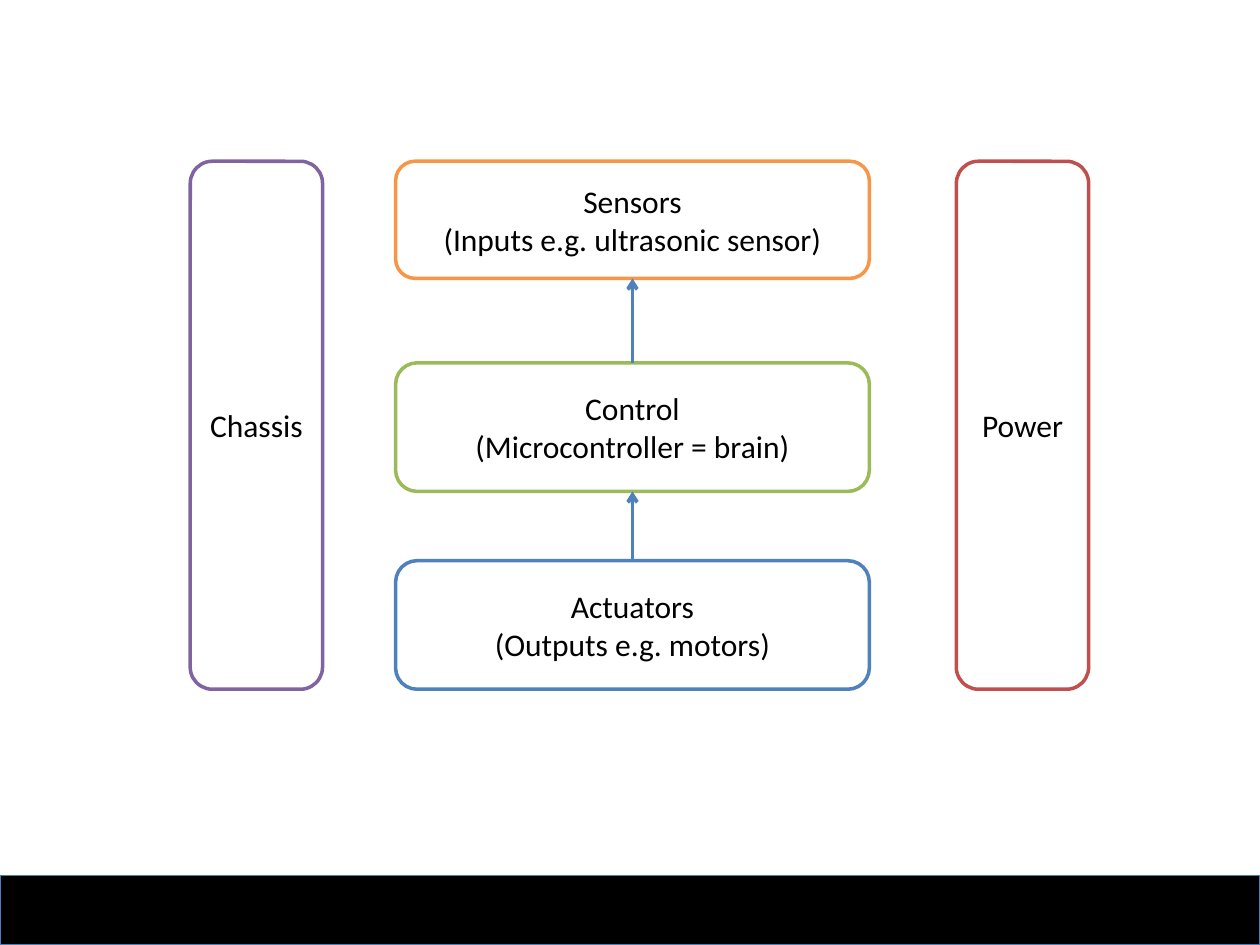
from lxml import etree
from pptx import Presentation
from pptx.dml.color import RGBColor
from pptx.enum.shapes import MSO_CONNECTOR, MSO_SHAPE
from pptx.enum.text import MSO_ANCHOR, PP_ALIGN
from pptx.oxml.ns import qn
from pptx.util import Inches, Pt

RECT, ROUNDED = MSO_SHAPE.RECTANGLE, MSO_SHAPE.ROUNDED_RECTANGLE
STRAIGHT = MSO_CONNECTOR.STRAIGHT
MIDDLE, CENTER = MSO_ANCHOR.MIDDLE, PP_ALIGN.CENTER
TOP_SIDE, BOTTOM_SIDE = 0, 2

COLORS = {
    "white": "FFFFFF", "black": "000000", "footer_line": "4A7EBB",
    "orange": "F79646", "green": "9BBB59", "blue": "4F81BD",
    "red": "C0504D", "purple": "8064A2",
}
SLIDE_W, SLIDE_H = 10, 7.5
FOOTER_H = 0.55
TOP, BOTTOM = 1.28, 5.47
STACK_LEFT, STACK_W = 3.14, 3.76
PANEL_W = 1.05

STACK = [
    (["Sensors", "(Inputs e.g. ultrasonic sensor)"], "orange", TOP, 0.93),
    (["Control", "(Microcontroller = brain)"], "green", 2.88, 1.02),
    (["Actuators", "(Outputs e.g. motors)"], "blue", BOTTOM - 1.02, 1.02),
]
PANELS = [("Power", "red", 7.59), ("Chassis", "purple", 1.51)]


def rgb(name):
    return RGBColor.from_string(COLORS[name])


def add_box(slide, kind, box, fill, line, width, lines=()):
    sp = slide.shapes.add_shape(kind, *map(Inches, box))
    sp.shadow.inherit = False
    sp.fill.solid()
    sp.fill.fore_color.rgb = rgb(fill)
    sp.line.color.rgb = rgb(line)
    sp.line.width = Pt(width)
    tf = sp.text_frame
    tf.word_wrap = True
    tf.vertical_anchor = MIDDLE
    if lines:
        tf.text = "\n".join(lines)
    for p in tf.paragraphs:
        p.alignment = CENTER
        p.font.name = "Calibri"
        p.font.size = Pt(18)
        p.font.color.rgb = rgb("black")
    return sp


def add_arrow(slide, lower, upper):
    cx = slide.shapes.add_connector(STRAIGHT, 0, 0, 0, 0)
    cx.begin_connect(lower, TOP_SIDE)
    cx.end_connect(upper, BOTTOM_SIDE)
    cx.line.color.rgb = rgb("blue")
    cx.line.width = Pt(2)
    etree.SubElement(cx.line._get_or_add_ln(), qn("a:tailEnd"), type="arrow")
    etree.SubElement(cx._element.spPr, qn("a:effectLst"))


def main():
    prs = Presentation()
    prs.slide_width, prs.slide_height = Inches(SLIDE_W), Inches(SLIDE_H)
    slide = prs.slides.add_slide(prs.slide_layouts[6])

    footer = (0, SLIDE_H - FOOTER_H, SLIDE_W, FOOTER_H)
    add_box(slide, RECT, footer, "black", "footer_line", 0.75)

    blocks = [
        add_box(slide, ROUNDED, (STACK_LEFT, top, STACK_W, height), "white", color, 2, lines)
        for lines, color, top, height in STACK
    ]
    for label, color, left in PANELS:
        panel = (left, TOP, PANEL_W, BOTTOM - TOP)
        add_box(slide, ROUNDED, panel, "white", color, 2, [label])
    for upper, lower in zip(blocks, blocks[1:]):
        add_arrow(slide, lower, upper)

    prs.save("out.pptx")


if __name__ == "__main__":
    main()
